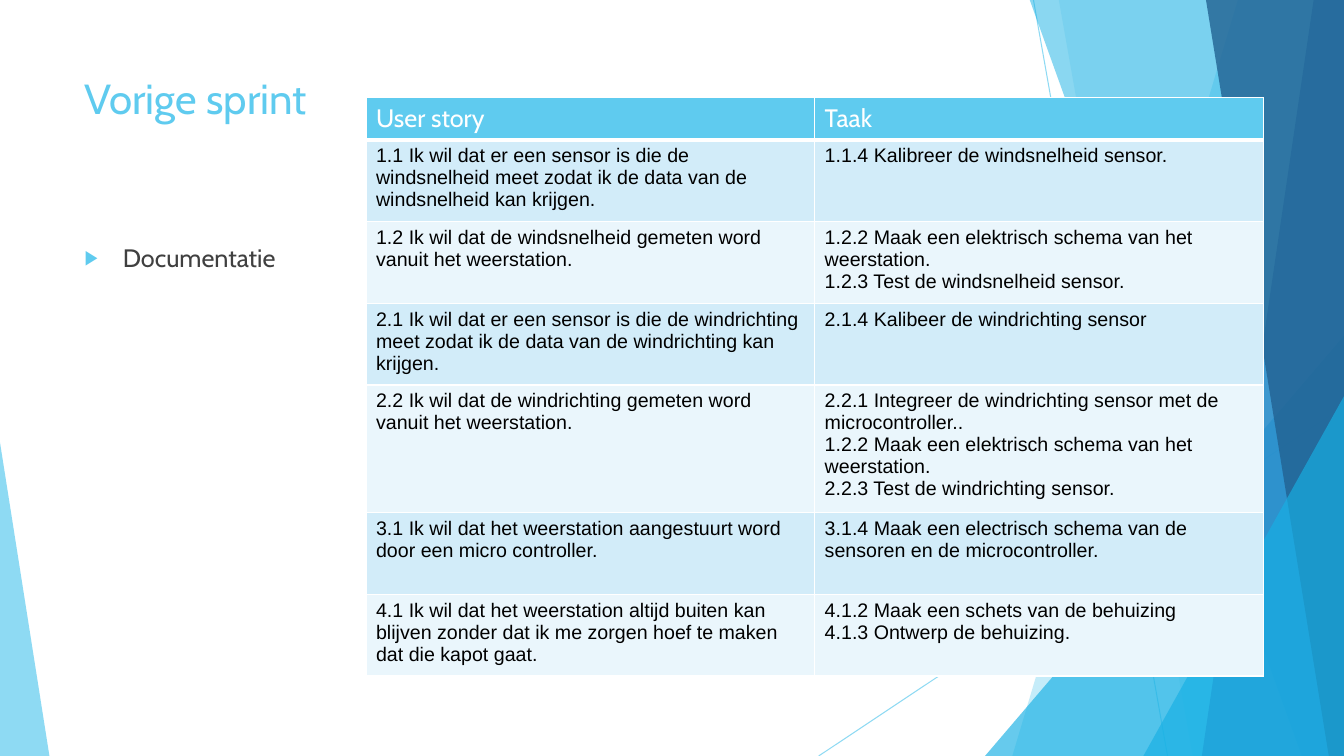
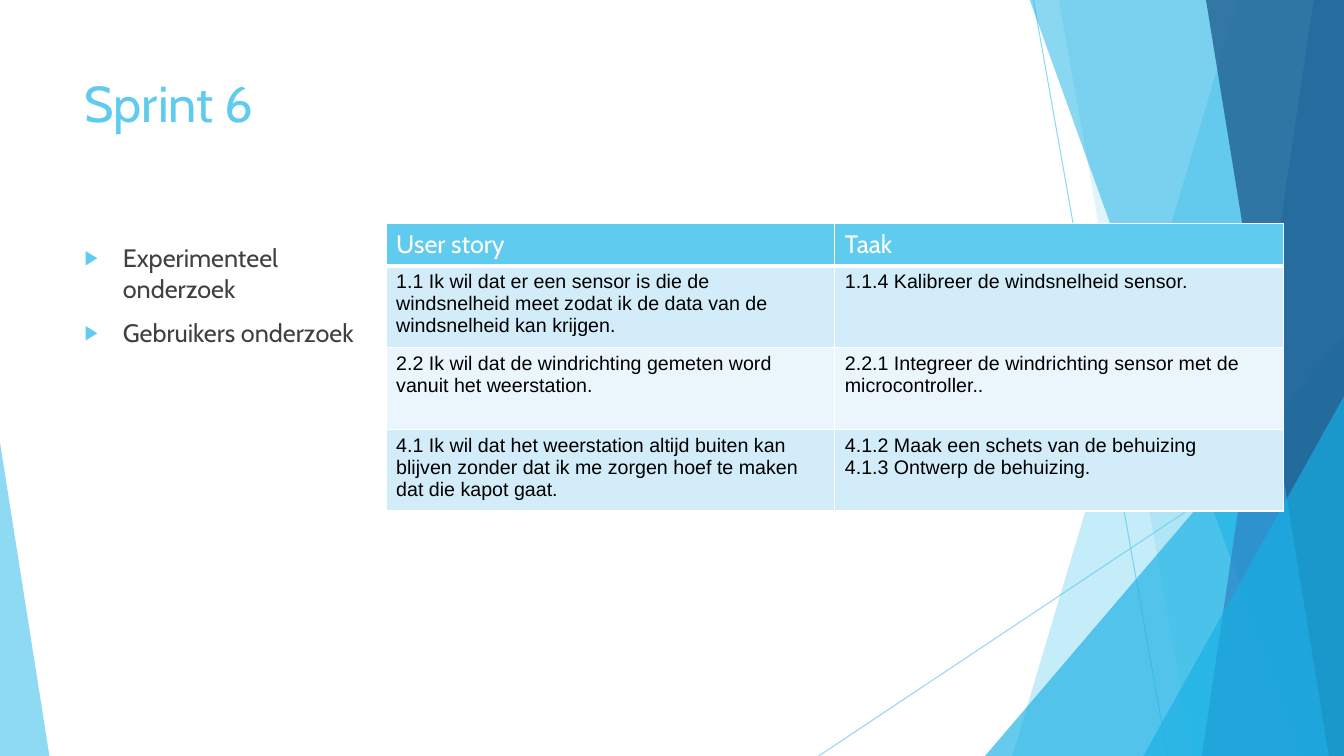
from lxml import etree
from pptx import Presentation
from pptx.dml.color import RGBColor
from pptx.enum.shapes import MSO_CONNECTOR, MSO_SHAPE
from pptx.enum.text import MSO_ANCHOR, MSO_AUTO_SIZE, PP_ALIGN
from pptx.oxml.ns import qn
from pptx.util import Inches, Pt

STRAIGHT = MSO_CONNECTOR.STRAIGHT
TRIANGLE = MSO_SHAPE.ISOSCELES_TRIANGLE
TOP, LEFT = MSO_ANCHOR.TOP, PP_ALIGN.LEFT
NO_FIT = MSO_AUTO_SIZE.NONE

SKY = RGBColor(0x5F, 0xCB, 0xEF)
CYAN = RGBColor(0x17, 0xB0, 0xE4)
BLUE = RGBColor(0x2E, 0x83, 0xC3)
NAVY = RGBColor(0x22, 0x62, 0x92)
PALE = RGBColor(0xD2, 0xEC, 0xF9)
PALER = RGBColor(0xEA, 0xF6, 0xFC)
GREY = RGBColor(0x40, 0x40, 0x40)
BLACK = RGBColor(0, 0, 0)
WHITE = RGBColor(0xFF, 0xFF, 0xFF)

HEAD_FONT, CELL_FONT = "Cabin", "Arial"
W, H = 13.33, 7.5
MARGIN = 0.74
COL_W, HEADER_H, ROW_H = 4.45, 0.42, 0.81

# Backdrop, back to front: kind, geometry, colour, opacity in percent.
# line: x1, y1, x2, y2; band: top x and bottom x of its left edge;
# triangle: left, top, right, apex position
BACKDROP = [
    ("line", (10.25, 0, 11.58, H), SKY, 70),
    ("line", (W, 4.03, 8.12, H), SKY, 70),
    ("band", (12.28, 10.04), SKY, 36),
    ("band", (10.5, 11.83), SKY, 20),
    ("triangle", (9.77, 3.33, W, 1), CYAN, 66),
    ("band", (10.21, 12.91), CYAN, 50),
    ("band", (13.03, 11.92), BLUE, 70),
    ("band", (11.96, 13.18), NAVY, 80),
    ("triangle", (11.34, 3.93, W, 1), CYAN, 66),
    ("triangle", (0, 4.39, 0.49, 0), SKY, 70),
]

HEADER = ("User story", ["Taak"])
WIND_SPEED = (
    "1.1 Ik wil dat er een sensor is die de windsnelheid meet zodat ik de data "
    "van de windsnelheid kan krijgen.",
    ["1.1.4 Kalibreer de windsnelheid sensor."])
WIND_DIRECTION = "2.2 Ik wil dat de windrichting gemeten word vanuit het weerstation."
INTEGRATE = "2.2.1 Integreer de windrichting sensor met de microcontroller.."
SCHEMA = "1.2.2 Maak een elektrisch schema van het weerstation."
HOUSING = (
    "4.1 Ik wil dat het weerstation altijd buiten kan blijven zonder dat ik me "
    "zorgen hoef te maken dat die kapot gaat.",
    ["4.1.2 Maak een schets van de behuizing", "4.1.3 Ontwerp de behuizing."])

SLIDES = [
    {"title": "Vorige sprint", "title_size": 30,
     "bullets": ["Documentatie"], "bullets_w": 9.4,
     "table_at": (3.63, 0.97),
     "stories": [
         WIND_SPEED,
         ("1.2 Ik wil dat de windsnelheid gemeten word vanuit het weerstation.",
          [SCHEMA, "1.2.3 Test de windsnelheid sensor."]),
         ("2.1 Ik wil dat er een sensor is die de windrichting meet zodat ik de "
          "data van de windrichting kan krijgen.",
          ["2.1.4 Kalibeer de windrichting sensor"]),
         (WIND_DIRECTION,
          [INTEGRATE, SCHEMA, "2.2.3 Test de windrichting sensor."]),
         ("3.1 Ik wil dat het weerstation aangestuurt word door een micro controller.",
          ["3.1.4 Maak een electrisch schema van de sensoren en de microcontroller."]),
         HOUSING]},
    {"title": "Sprint 6", "title_size": 36,
     "bullets": ["Experimenteel onderzoek", "Gebruikers onderzoek"], "bullets_w": 2.89,
     "table_at": (3.83, 2.22),
     "stories": [WIND_SPEED, (WIND_DIRECTION, [INTEGRATE]), HOUSING]},
]


def sub(parent, tag, **attrs):
    return etree.SubElement(parent, qn(tag), attrs)


def style_paragraph(p, font, size, color):
    p.alignment = LEFT
    p.font.name, p.font.size, p.font.bold = font, Pt(size), False
    p.font.color.rgb = color


def add_backdrop_part(shapes, kind, geometry, color, opacity):
    if kind == "line":
        s = shapes.add_connector(STRAIGHT, *map(Inches, geometry))
        s.line.width = Pt(0.75)
        fill = s.line.fill
        sub(s.element.spPr, "a:effectLst")
    else:
        if kind == "band":
            top_x, bottom_x = map(Inches, geometry)
            right, top, bottom = Inches(W), Inches(-0.01), Inches(H)
            builder = shapes.build_freeform(top_x, top)
            builder.add_line_segments([(right, top), (right, bottom), (bottom_x, bottom)])
            s = builder.convert_to_shape()
        else:
            left, top, right, apex = geometry
            s = shapes.add_shape(TRIANGLE, Inches(left), Inches(top),
                                 Inches(right - left), Inches(H - top))
            s.adjustments[0] = apex
        s.shadow.inherit = False
        s.line.fill.background()
        fill = s.fill
    fill.solid()
    fill.fore_color.rgb = color
    clr = next(s.element.spPr.iter(qn("a:srgbClr")))
    sub(clr, "a:alpha", val=str(opacity * 1000))
    return s


def share_backdrop(slide):
    """Draw the backdrop on a slide, then move it to the layout behind its placeholders."""
    tree = slide.slide_layout.placeholders[0].element.getparent()
    for i, part in enumerate(BACKDROP):
        el = add_backdrop_part(slide.shapes, *part).element
        next(el.iter(qn("p:cNvPr"))).set("id", str(100 + i))
        tree.insert(2 + i, el)


def set_title(slide, text, size):
    s = slide.shapes.title
    s.left, s.top, s.width, s.height = map(Inches, (MARGIN, 0.67, 9.4, 1.44))
    tf = s.text_frame
    tf.text = text
    tf.auto_size, tf.vertical_anchor = NO_FIT, TOP
    style_paragraph(tf.paragraphs[0], HEAD_FONT, size, SKY)


def add_bullets(slide, items, width):
    box = slide.shapes.add_textbox(*map(Inches, (MARGIN, 2.36, width, 4.24)))
    tf = box.text_frame
    tf.word_wrap = True
    tf.text = "\n".join(items)
    for p in tf.paragraphs:
        style_paragraph(p, HEAD_FONT, 18, GREY)
        p.space_before = Pt(10)
        pPr = p._p.get_or_add_pPr()
        indent = Inches(0.38)
        pPr.set("marL", str(indent))
        pPr.set("indent", str(-indent))
        sub(sub(pPr, "a:buClr"), "a:srgbClr", val=str(SKY))
        sub(pPr, "a:buSzPct", val="80000")
        sub(pPr, "a:buFont", typeface="Arial")
        sub(pPr, "a:buChar", char="▶")


def set_borders(cell, bottom):
    tcPr = cell._tc.get_or_add_tcPr()
    widths = {"a:lnL": 1, "a:lnR": 1, "a:lnT": 1, "a:lnB": bottom}
    for i, (tag, width) in enumerate(widths.items()):
        ln = sub(tcPr, tag, w=str(Pt(width)))
        sub(sub(ln, "a:solidFill"), "a:srgbClr", val=str(WHITE))
        tcPr.insert(i, ln)


def add_story_table(slide, at, stories):
    rows = [HEADER] + stories
    frame = slide.shapes.add_table(
        len(rows), 2, *map(Inches, at), Inches(2 * COL_W),
        Inches(HEADER_H + ROW_H * len(stories)))
    table = frame.table
    for col in table.columns:
        col.width = Inches(COL_W)
    for r, (story, tasks) in enumerate(rows):
        is_header = r == 0
        table.rows[r].height = Inches(HEADER_H if is_header else ROW_H)
        for c, lines in enumerate(([story], tasks)):
            cell = table.cell(r, c)
            cell.text = "\n".join(lines)
            cell.fill.solid()
            cell.fill.fore_color.rgb = SKY if is_header else (PALER, PALE)[r % 2]
            set_borders(cell, 3 if is_header else 1)
            look = (HEAD_FONT, 18, WHITE) if is_header else (CELL_FONT, 14, BLACK)
            for p in cell.text_frame.paragraphs:
                style_paragraph(p, *look)


def main():
    prs = Presentation()
    prs.slide_width, prs.slide_height = Inches(W), Inches(H)
    title_only = prs.slide_layouts[5]
    for i, content in enumerate(SLIDES):
        slide = prs.slides.add_slide(title_only)
        if i == 0:
            share_backdrop(slide)
        set_title(slide, content["title"], content["title_size"])
        add_bullets(slide, content["bullets"], content["bullets_w"])
        add_story_table(slide, content["table_at"], content["stories"])
    prs.save("out.pptx")


if __name__ == "__main__":
    main()
